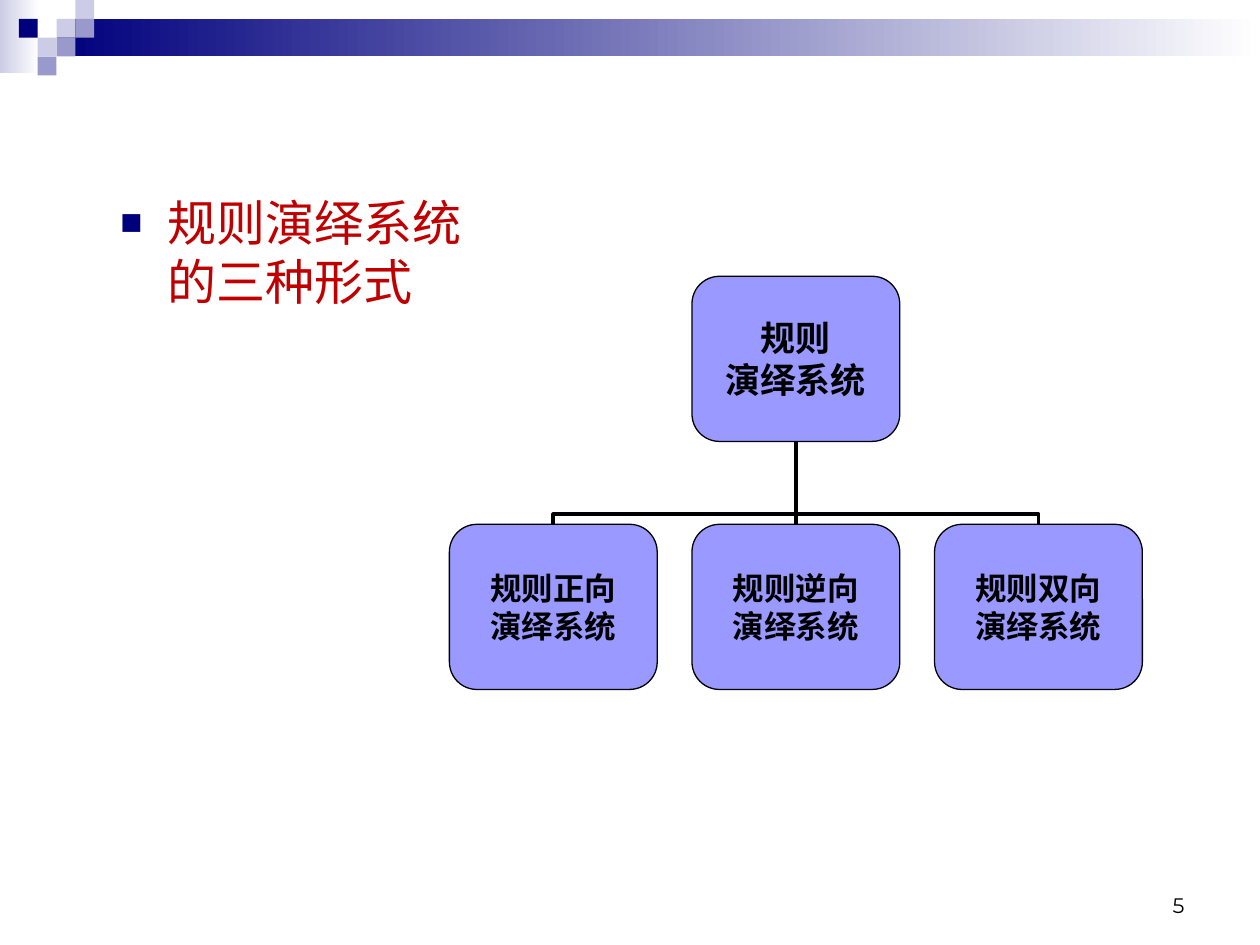
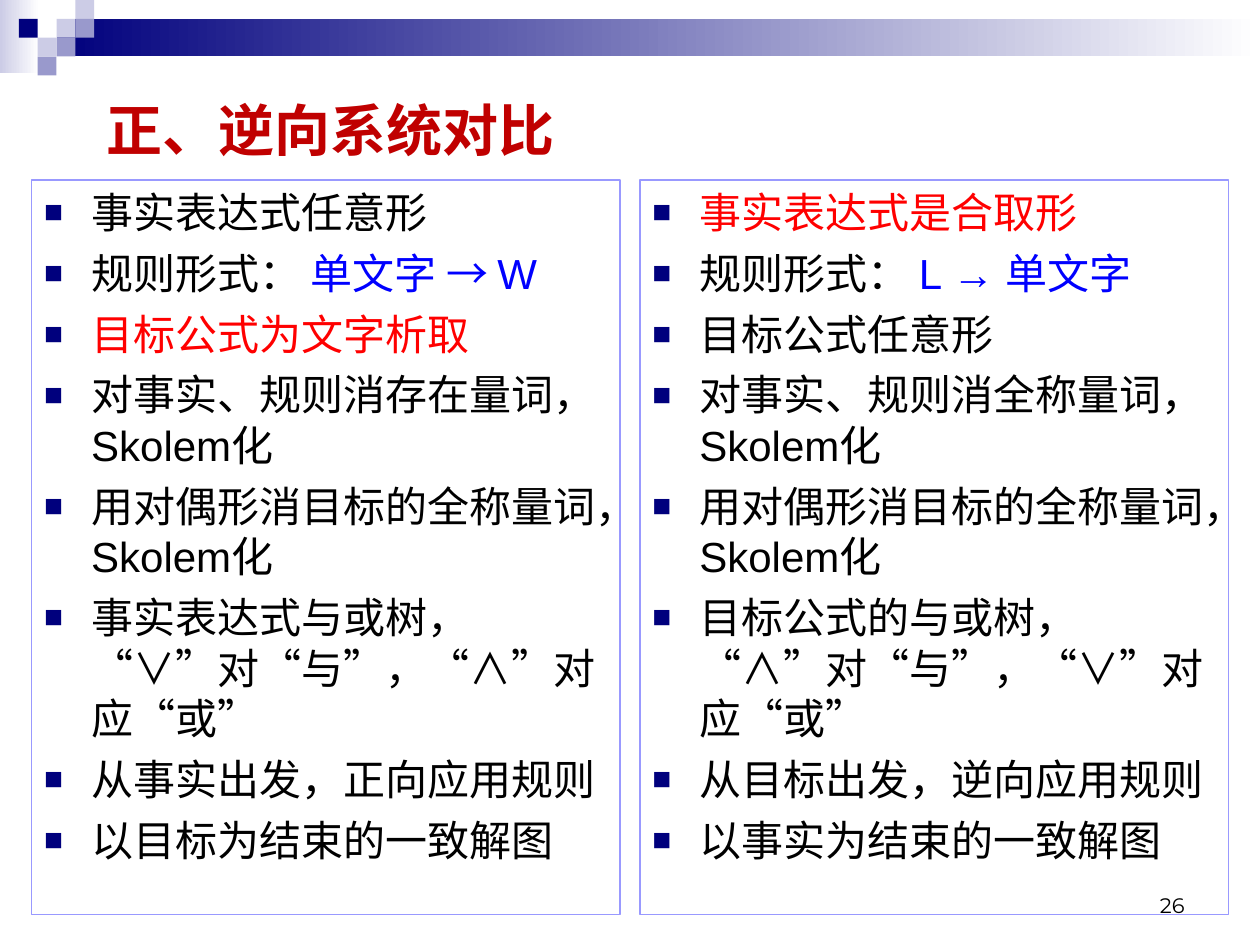
"""Build two slides on the forms of rule deduction systems and their comparison."""
from dataclasses import dataclass
from typing import Optional

from lxml.etree import SubElement
from pptx import Presentation
from pptx.dml.color import RGBColor
from pptx.enum.lang import MSO_LANGUAGE_ID as Language
from pptx.enum.shapes import MSO_CONNECTOR as Link, MSO_SHAPE as Preset
from pptx.enum.text import MSO_ANCHOR as Anchor, PP_ALIGN as Align
from pptx.oxml.ns import qn
from pptx.util import Cm, Pt

COLOURS = {
    "navy": "00007D",
    "mist": "CCCCE6",
    "slate": "9999CC",
    "violet": "9999FF",
    "white": "FFFFFF",
    "black": "000000",
    "title": "C00000",
    "red": "FF0000",
    "blue": "0000FF",
}
TILE = 0.38
NODE_WIDTH, NODE_HEIGHT = 4.19, 3.33
PANEL_TOP, PANEL_WIDTH, PANEL_HEIGHT = 3.63, 11.86, 14.81


@dataclass(frozen=True)
class Area:
    left: float
    top: float
    width: float
    height: float

    def lengths(self) -> tuple:
        return Cm(self.left), Cm(self.top), Cm(self.width), Cm(self.height)


@dataclass(frozen=True)
class Style:
    size: int
    font: str = "Arial"
    bold: bool = False
    align: Align = Align.LEFT
    bullet: bool = False
    gap: int = 0


@dataclass(frozen=True)
class Span:
    text: str
    colour: str = "black"


@dataclass(frozen=True)
class Tile:
    column: int
    row: int
    colour: str


@dataclass(frozen=True)
class Node:
    left: float
    top: float
    lines: tuple
    style: Style

    @property
    def centre(self) -> float:
        return self.left + NODE_WIDTH / 2


@dataclass(frozen=True)
class Panel:
    left: float
    items: tuple


NUMBER_STYLE = Style(12, "Montserrat", align=Align.RIGHT)
TITLE_STYLE = Style(32, bold=True)
HEADING_STYLE = Style(28, bullet=True)
ITEM_STYLE = Style(24, bullet=True, gap=6)
ROOT_STYLE = Style(20, "Lato", bold=True, align=Align.CENTER)
LEAF_STYLE = Style(18, "Times New Roman", bold=True, align=Align.CENTER)

TILES = (
    Tile(3, 1, "mist"),
    Tile(4, 0, "mist"),
    Tile(4, 1, "slate"),
    Tile(2, 2, "mist"),
    Tile(1, 1, "navy"),
    Tile(3, 2, "slate"),
    Tile(2, 3, "slate"),
)
LEAF_LEFT, LEAF_STEP, LEAF_TOP = 9.06, 4.89, 10.57
ROOT = Node(LEAF_LEFT + LEAF_STEP, 5.57, ("规则", "演绎系统"), ROOT_STYLE)
LEAVES = [
    Node(LEAF_LEFT + index * LEAF_STEP, LEAF_TOP, (name, "演绎系统"), LEAF_STYLE)
    for index, name in enumerate(("规则正向", "规则逆向", "规则双向"))
]
PANELS = (
    Panel(0.64, (
        (Span("事实表达式任意形"),),
        (Span("规则形式： "), Span("单文字 → W", "blue")),
        (Span("目标公式为文字析取", "red"),),
        (Span("对事实、规则消存在量词，Skolem化"),),
        (Span("用对偶形消目标的全称量词，Skolem化"),),
        (Span("事实表达式与或树，“∨”对“与”，“∧”对应“或”"),),
        (Span("从事实出发，正向应用规则"),),
        (Span("以目标为结束的一致解图"),),
    )),
    Panel(12.9, (
        (Span("事实表达式是合取形", "red"),),
        (Span("规则形式： "), Span("L → 单文字", "blue")),
        (Span("目标公式任意形"),),
        (Span("对事实、规则消全称量词，Skolem化"),),
        (Span("用对偶形消目标的全称量词，Skolem化"),),
        (Span("目标公式的与或树，“∧”对“与”，“∨”对应“或”"),),
        (Span("从目标出发，逆向应用规则"),),
        (Span("以事实为结束的一致解图"),),
    )),
)


def rgb(name: str) -> RGBColor:
    return RGBColor.from_string(COLOURS[name])


def add_bullet(para) -> None:
    properties = para._p.get_or_add_pPr()
    properties.set("marL", str(Cm(0.95)))
    properties.set("indent", str(-Cm(0.95)))
    colour = SubElement(properties, qn("a:buClr"))
    SubElement(colour, qn("a:srgbClr"), val=COLOURS["navy"])
    SubElement(properties, qn("a:buSzPct"), val="75000")
    SubElement(properties, qn("a:buFont"), typeface="Arial")
    SubElement(properties, qn("a:buChar"), char="■")


def write(frame, paragraphs, style: Style, anchor: Anchor = Anchor.TOP) -> None:
    frame.word_wrap = True
    frame.vertical_anchor = anchor
    for index, spans in enumerate(paragraphs):
        para = frame.add_paragraph() if index else frame.paragraphs[0]
        if style.bullet:
            add_bullet(para)
        para.alignment = style.align
        para.space_before = Pt(style.gap if index else 0)
        for span in spans:
            run = para.add_run()
            run.text = span.text
            font = run.font
            font.name, font.size, font.bold = style.font, Pt(style.size), style.bold
            font.color.rgb = rgb(span.colour)
            font.language_id = Language.SIMPLIFIED_CHINESE


def add_text(page, area: Area, span: Span, style: Style, anchor: Anchor = Anchor.TOP) -> None:
    box = page.shapes.add_textbox(*area.lengths())
    write(box.text_frame, [(span,)], style, anchor)


def add_box(page, area: Area, preset: Preset = Preset.RECTANGLE,
            fill: Optional[str] = None, line: Optional[str] = None):
    box = page.shapes.add_shape(preset, *area.lengths())
    box.shadow.inherit = False
    if fill:
        box.fill.solid()
        box.fill.fore_color.rgb = rgb(fill)
    else:
        box.fill.background()
    if line:
        box.line.color.rgb = rgb(line)
        box.line.width = Pt(0.75)
    else:
        box.line.fill.background()
    return box


def add_fade(page, area: Area, colour: str) -> None:
    fill = add_box(page, area).fill
    fill.gradient()
    fill.gradient_angle = 0
    for position, (stop, name) in enumerate(zip(fill.gradient_stops, (colour, "white"))):
        stop.position = position
        stop.color.rgb = rgb(name)


def add_page(deck, number: int):
    page = deck.slides.add_slide(deck.slide_layouts[6])
    add_fade(page, Area(0, 0, 0.79, 1.47), "mist")
    add_fade(page, Area(3 * TILE, TILE, 25.4 - 3 * TILE, 2 * TILE), "navy")
    for tile in TILES:
        area = Area(tile.column * TILE, tile.row * TILE, TILE, TILE)
        add_box(page, area, fill=tile.colour)
    add_text(page, Area(18.21, 17.35, 5.92, 1.27), Span(str(number)), NUMBER_STYLE, Anchor.BOTTOM)
    return page


def add_node(page, node: Node) -> None:
    area = Area(node.left, node.top, NODE_WIDTH, NODE_HEIGHT)
    box = add_box(page, area, Preset.ROUNDED_RECTANGLE, "violet", "black")
    frame = box.text_frame
    frame.margin_left = frame.margin_right = frame.margin_top = frame.margin_bottom = 0
    write(frame, [(Span(line),) for line in node.lines], node.style, Anchor.MIDDLE)
    frame.word_wrap = False


def add_branch(page, parent: Node, child: Node) -> None:
    bottom = parent.top + NODE_HEIGHT
    rise, reach = child.top - bottom, child.centre - parent.centre
    straight = abs(reach) < 0.01
    if straight:
        ends = child.centre, child.top, parent.centre, bottom
    else:
        middle_x, middle_y = (child.centre + parent.centre) / 2, (child.top + bottom) / 2
        half_rise = rise / 2 if reach > 0 else -rise / 2
        half_reach = abs(reach) / 2
        ends = (middle_x - half_rise, middle_y + half_reach,
                middle_x + half_rise, middle_y - half_reach)
    kind = Link.STRAIGHT if straight else Link.ELBOW
    branch = page.shapes.add_connector(kind, *map(Cm, ends))
    branch.line.color.rgb = rgb("black")
    branch.line.width = Pt(2.25)
    properties = branch._element.spPr
    SubElement(properties, qn("a:effectLst"))
    if not straight:
        turn = 270 if reach > 0 else 90
        properties.find(qn("a:xfrm")).set("rot", str(turn * 60000))
        guides = properties.find(qn("a:prstGeom")).find(qn("a:avLst"))
        SubElement(guides, qn("a:gd"), name="adj1", fmla="val 11900")


def build_forms(deck) -> None:
    page = add_page(deck, 5)
    add_text(page, Area(2.18, 3.76, 7.52, 11.43), Span("规则演绎系统的三种形式", "title"), HEADING_STYLE)
    for leaf in LEAVES:
        add_branch(page, ROOT, leaf)
    for node in (ROOT, *LEAVES):
        add_node(page, node)


def build_comparison(deck) -> None:
    page = add_page(deck, 26)
    add_text(page, Area(1.9, 1.96, 21.59, 1.27), Span("正、逆向系统对比", "title"), TITLE_STYLE, Anchor.MIDDLE)
    for panel in PANELS:
        area = Area(panel.left, PANEL_TOP, PANEL_WIDTH, PANEL_HEIGHT)
        write(add_box(page, area, line="violet").text_frame, panel.items, ITEM_STYLE)


def main() -> None:
    deck = Presentation()
    deck.slide_width, deck.slide_height = Cm(25.4), Cm(19.05)
    build_forms(deck)
    build_comparison(deck)
    deck.save("out.pptx")


if __name__ == "__main__":
    main()
